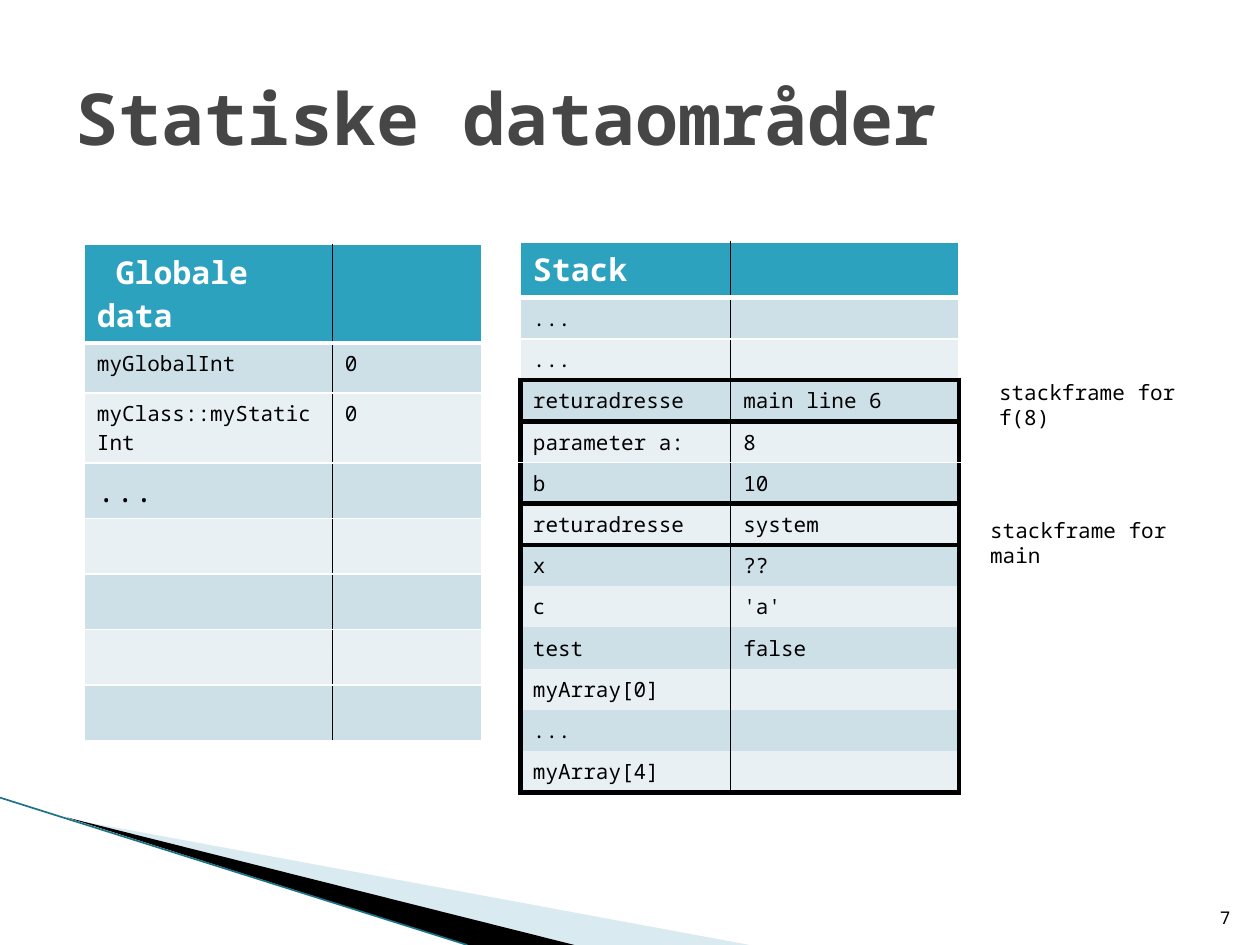
from lxml import etree
from pptx import Presentation
from pptx.dml.color import RGBColor
from pptx.enum.shapes import MSO_CONNECTOR
from pptx.enum.text import MSO_ANCHOR, PP_ALIGN
from pptx.oxml.ns import qn
from pptx.util import Cm, Pt

LEFT, RIGHT = PP_ALIGN.LEFT, PP_ALIGN.RIGHT
TOP, MIDDLE, BOTTOM = MSO_ANCHOR.TOP, MSO_ANCHOR.MIDDLE, MSO_ANCHOR.BOTTOM
STRAIGHT = MSO_CONNECTOR.STRAIGHT
NO_STYLE = "{2D5ABB26-0587-4C30-8999-92F81FD0307C}"

THEME = {
    "font": "Noto Sans Mono",
    "title": "464646", "text": "000000", "white": "FFFFFF",
    "header": "2DA2BF", "bands": ("CDE0E8", "E8F0F4"),
    "pale": "A0CBDC", "edge": "1C7388",
    "title_size": 41, "head_size": 18, "body_size": 12, "number_size": 10,
}
BLACK, WHITE = THEME["text"], THEME["white"]
THIN, HEAVY, FRAME = (WHITE, 1), (WHITE, 3), (BLACK, 3)


def add_text(p, text, size, color=BLACK, bold=False):
    r = p.add_run()
    r.text = text
    r.font.name = THEME["font"]
    r.font.size = Pt(size)
    r.font.bold = bold
    r.font.color.rgb = RGBColor.from_string(color)


def add_border(cell, side, edge):
    if edge is None:
        return
    color, width = edge
    tc_pr = cell._tc.get_or_add_tcPr()
    ln = etree.SubElement(tc_pr, qn("a:ln" + side), w=str(Pt(width)))
    fill = etree.SubElement(ln, qn("a:solidFill"))
    etree.SubElement(fill, qn("a:srgbClr"), val=color)


prs = Presentation()
prs.slide_width, prs.slide_height = Cm(25.4), Cm(19.05)
s = prs.slides.add_slide(prs.slide_layouts[5])

wedges = [
    (THEME["pale"], 40, [(1.4, 16.51), (15.11, 19.05), (11.58, 19.05)]),
    (BLACK, 100, [(1.35, 16.48), (11.58, 19.05), (9.42, 19.05)]),
]
for color, opacity, points in wedges:
    points = [(Cm(x), Cm(y)) for x, y in points]
    outline = s.shapes.build_freeform(*points[0])
    outline.add_line_segments(points[1:])
    sp = outline.convert_to_shape()
    sp.shadow.inherit = False
    sp.line.fill.background()
    sp.fill.solid()
    sp.fill.fore_color.rgb = RGBColor.from_string(color)
    clr = sp._element.spPr.find(qn("a:solidFill"))[0]
    etree.SubElement(clr, qn("a:alpha"), val=str(opacity * 1000))

edge_line = s.shapes.add_connector(STRAIGHT, Cm(0), Cm(16.08), Cm(9.42), Cm(19.05))
edge_line.line.color.rgb = RGBColor.from_string(THEME["edge"])
edge_line.line.width = Pt(0.95)
etree.SubElement(edge_line._element.spPr, qn("a:effectLst"))

title = s.shapes.title
title.left, title.top, title.width, title.height = Cm(1.27), Cm(0.76), Cm(22.86), Cm(3.18)
title.text_frame.vertical_anchor = MIDDLE
p = title.text_frame.paragraphs[0]
p.alignment = LEFT
add_text(p, "Statiske dataområder", THEME["title_size"], THEME["title"], True)

global_rows = [
    (" Globale data", ""), ("myGlobalInt", "0"), ("myClass::myStaticInt", "0"),
    ("...", ""),
] + [("", "")] * 4
stack_rows = [
    ("Stack", ""), ("...", ""), ("...", ""),
    ("returadresse", "main line 6"), ("parameter a:", "8"), ("b", "10"),
    ("returadresse", "system"), ("x", "??"), ("c", "'a'"), ("test", "false"),
    ("myArray[0]", ""), ("...", ""), ("myArray[4]", ""),
]
tables = [
    {"at": (1.7, 4.93), "cols": (5, 3.02), "rows": global_rows,
     "heights": [1.97, 1.01, 1.41] + [1.12] * 5,
     "edges": [THIN, HEAVY] + [THIN] * 7, "frame_from": 8, "large_from": 3},
    {"at": (10.49, 4.88), "cols": (4.24, 4.6), "rows": stack_rows,
     "heights": [1.12] + [0.83] * 12,
     "edges": [THIN, HEAVY, THIN, FRAME, FRAME, THIN, FRAME] + [None] * 6 + [FRAME],
     "frame_from": 3, "large_from": 13},
]
for t in tables:
    frame = s.shapes.add_table(
        len(t["rows"]), 2, Cm(t["at"][0]), Cm(t["at"][1]),
        Cm(sum(t["cols"])), Cm(sum(t["heights"])))
    table = frame.table
    table.first_row = table.horz_banding = False
    frame._element.find(".//" + qn("a:tableStyleId")).text = NO_STYLE
    for column, width in zip(table.columns, t["cols"]):
        column.width = Cm(width)
    for i, values in enumerate(t["rows"]):
        table.rows[i].height = Cm(t["heights"][i])
        header = i == 0
        size = THEME["head_size" if header or i >= t["large_from"] else "body_size"]
        outer = FRAME if i >= t["frame_from"] else THIN
        sides = (outer, (BLACK, 1), outer)
        for j, value in enumerate(values):
            cell = table.cell(i, j)
            add_border(cell, "L", sides[j])
            add_border(cell, "R", sides[j + 1])
            add_border(cell, "T", t["edges"][i])
            add_border(cell, "B", t["edges"][i + 1])
            cell.fill.solid()
            cell.fill.fore_color.rgb = RGBColor.from_string(
                THEME["header"] if header else THEME["bands"][(i - 1) % 2])
            p = cell.text_frame.paragraphs[0]
            if value:
                add_text(p, value, size, WHITE if header else BLACK, header)
            else:
                etree.SubElement(p._p, qn("a:endParaRPr"), sz=str(size * 100))

labels = [
    ("7", (24.03, 17.81, 1.02, 1.02), THEME["number_size"], RIGHT, BOTTOM),
    ("stackframe for main", (19.71, 10.31, 5, 0.76), THEME["body_size"], LEFT, TOP),
    ("stackframe for f(8)", (19.89, 7.52, 5, 0.76), THEME["body_size"], LEFT, TOP),
]
for text, box, size, align, anchor in labels:
    tf = s.shapes.add_textbox(*[Cm(v) for v in box]).text_frame
    tf.word_wrap = True
    tf.vertical_anchor = anchor
    p = tf.paragraphs[0]
    p.alignment = align
    add_text(p, text, size)

prs.save("out.pptx")
